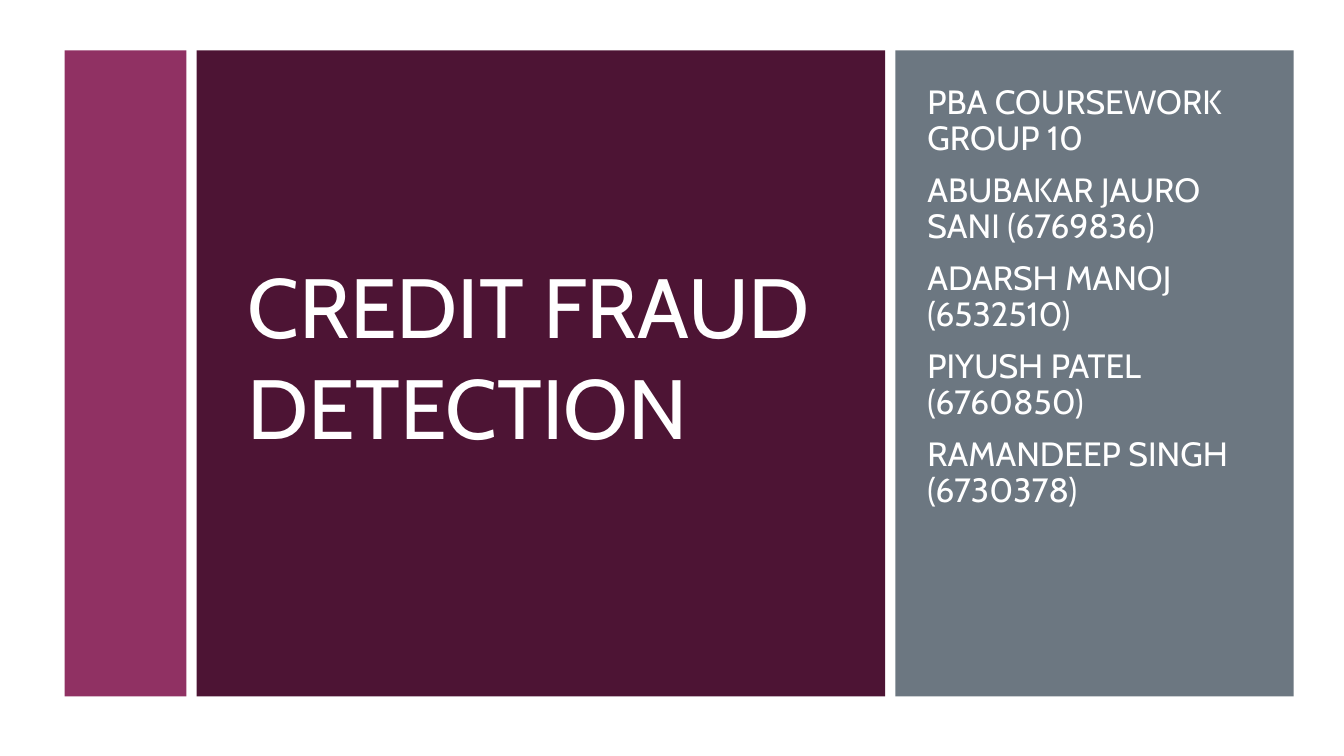
"""Build the title slide of a coursework deck on credit fraud detection."""
import pptx
import pptx.dml.color
import pptx.enum.shapes
import pptx.enum.text
import pptx.util

Inches = pptx.util.Inches
Pt = pptx.util.Pt
RGBColor = pptx.dml.color.RGBColor
Anchor = pptx.enum.text.MSO_ANCHOR

WHITE = RGBColor(0xFF, 0xFF, 0xFF)
PLUM = RGBColor(0x4D, 0x14, 0x34)
SLATE = RGBColor(0x6C, 0x77, 0x81)
ROSE = RGBColor(0x90, 0x31, 0x63)

FONT = "Cabin"
TITLE = ["CREDIT FRAUD DETECTION"]
TEAM = [
    "PBA COURSEWORK GROUP 10",
    "ABUBAKAR JAURO SANI (6769836)",
    "ADARSH MANOJ (6532510)",
    "PIYUSH PATEL (6760850)",
    "RAMANDEEP SINGH (6730378)",
]
PANELS = [(1.21, ROSE), (6.83, PLUM), (3.95, SLATE)]
LEFT, TOP, HIGH, GAP = 0.64, 0.5, 6.41, 0.1


def add_panel(slide, left, width, color):
    panel = slide.shapes.add_shape(
        pptx.enum.shapes.MSO_SHAPE.RECTANGLE,
        Inches(left), Inches(TOP), Inches(width), Inches(HIGH))
    panel.shadow.inherit = False
    panel.fill.solid()
    panel.fill.fore_color.rgb = color
    panel.line.fill.background()


def add_text(slide, lines, area, size, anchor, pitch, after):
    frame = slide.shapes.add_textbox(*map(Inches, area)).text_frame
    frame.word_wrap = True
    frame.vertical_anchor = anchor
    frame.text = "\n".join(lines)
    for para in frame.paragraphs:
        para.font.name = FONT
        para.font.size = Pt(size)
        para.font.color.rgb = WHITE
        para.line_spacing = pitch
        para.space_after = Pt(after)


def main():
    deck = pptx.Presentation()
    deck.slide_width, deck.slide_height = Inches(13.33), Inches(7.5)
    slide = deck.slides.add_slide(deck.slide_layouts[6])
    left = LEFT
    for width, color in PANELS:
        add_panel(slide, left, width, color)
        left += width + GAP
    add_text(slide, TITLE, (2.36, 0.93, 6.04, 5.19), 60, Anchor.MIDDLE, 1.0, 0)
    add_text(slide, TEAM, (9.1, 0.8, 3.44, 5.32), 24, Anchor.TOP, 0.9, 11)
    deck.save("out.pptx")


if __name__ == "__main__":
    main()
